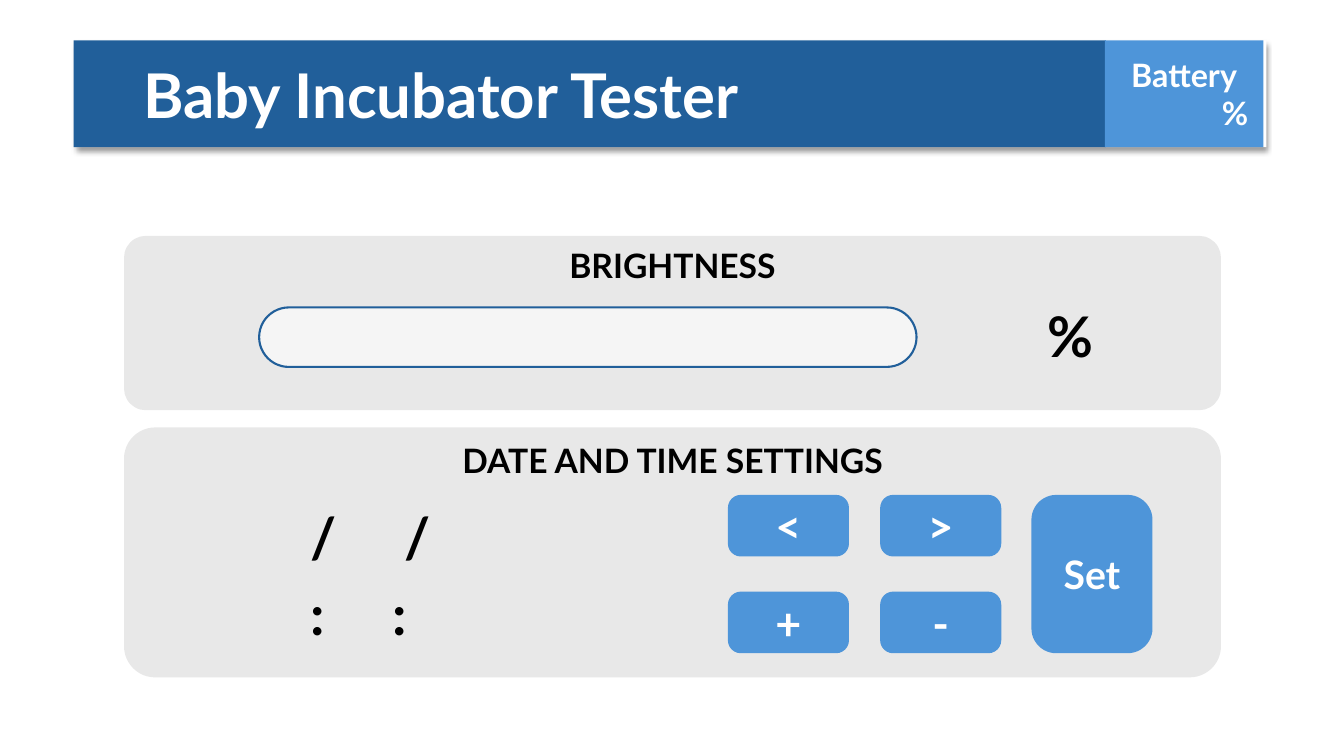
from lxml.etree import SubElement
from pptx import Presentation
from pptx.dml.color import RGBColor
from pptx.enum.shapes import MSO_SHAPE as Shape
from pptx.enum.text import MSO_ANCHOR as Anchor, PP_ALIGN as Align
from pptx.oxml.ns import qn
from pptx.util import Pt

PX = 9144
COLORS = {
    "white": "FFFFFF",
    "black": "000000",
    "navy": "215F9A",
    "blue": "4E95D9",
    "panel": "E8E8E8",
    "track": "F5F5F5",
}


def color(name):
    return RGBColor.from_string(COLORS[name])


def scaled(*lengths):
    return [length * PX for length in lengths]


def set_frame(box, anchor=Anchor.MIDDLE, side=10, top=5):
    frame = box.text_frame
    frame.word_wrap = True
    frame.vertical_anchor = anchor
    frame.margin_left, frame.margin_right, frame.margin_top = scaled(side, side, top)


def add_block(page, place, fill, line=None, corner=None):
    kind = Shape.RECTANGLE if corner is None else Shape.ROUNDED_RECTANGLE
    block = page.shapes.add_shape(kind, *scaled(*place))
    if corner is not None:
        block.adjustments[0] = corner
    block.shadow.inherit = False
    block.fill.solid()
    block.fill.fore_color.rgb = color(fill)
    if line:
        block.line.color.rgb = color(line)
        block.line.width = Pt(1.5)
    else:
        block.line.fill.background()
    set_frame(block)
    return block


def add_shadow(block):
    effects = block.element.spPr.find(qn("a:effectLst"))
    shadow = SubElement(effects, qn("a:outerShdw"), blurRad=str(Pt(4)),
                        dist=str(Pt(3)), dir="5400000", algn="t", rotWithShape="0")
    tint = SubElement(shadow, qn("a:srgbClr"), val=COLORS["black"])
    SubElement(tint, qn("a:alpha"), val="40000")


def write(box, text, size=24, ink="white", align=Align.CENTER, tab=None):
    frame = box.text_frame
    para = frame.add_paragraph() if frame.text else frame.paragraphs[0]
    para.alignment = align
    if tab:
        stops = SubElement(para._p.get_or_add_pPr(), qn("a:tabLst"))
        SubElement(stops, qn("a:tab"), pos=str(tab * PX), algn="l")
    span = para.add_run()
    span.text = text
    span.font.name = "Lato"
    span.font.size = Pt(size)
    span.font.bold = True
    span.font.color.rgb = color(ink)


def add_label(page, place, text, **style):
    label = page.shapes.add_textbox(*scaled(*place))
    set_frame(label)
    write(label, text, size=40, ink="black", **style)


def add_panel(page, top, height, heading):
    panel = add_block(page, (123, top, 1088, height), "panel", corner=0.125)
    set_frame(panel, anchor=Anchor.TOP, top=3)
    write(panel, heading, ink="black")


def add_button(page, place, text, size=32):
    button = add_block(page, place, "blue", line="blue", corner=0.2)
    write(button, text, size=size)


def add_header(page):
    add_shadow(add_block(page, (75, 40, 1181, 106), "white"))
    title = add_block(page, (73, 40, 1024, 106), "navy")
    set_frame(title, side=69)
    write(title, "Baby Incubator Tester", size=44, align=Align.LEFT)
    battery = add_block(page, (1096, 40, 157, 106), "blue")
    set_frame(battery, side=15)
    write(battery, "Battery", size=23)
    write(battery, "%", size=23, align=Align.RIGHT)


def add_brightness(page):
    add_panel(page, 234, 173, "BRIGHTNESS")
    add_block(page, (257, 305, 652, 59), "track", line="navy", corner=0.5)
    add_label(page, (1012, 294, 100, 77), "%")


def add_date_time(page):
    add_panel(page, 424, 248, "DATE AND TIME SETTINGS")
    for top, mark, tab in ((493, "/", 93), (570, ":", 81)):
        add_label(page, (298, top, 148, 77), f"{mark}\t{mark}",
                  align=Align.LEFT, tab=tab)
    for index, sign in enumerate("<>+-"):
        row, column = divmod(index, 2)
        add_button(page, (723 + 151 * column, 492 + 96 * row, 118, 59), sign)
    add_button(page, (1024, 492, 118, 155), "Set", size=28)


def main():
    deck = Presentation()
    deck.slide_width, deck.slide_height = scaled(1333, 750)
    page = deck.slides.add_slide(deck.slide_layouts[6])
    add_header(page)
    add_brightness(page)
    add_date_time(page)
    deck.save("out.pptx")


if __name__ == "__main__":
    main()
